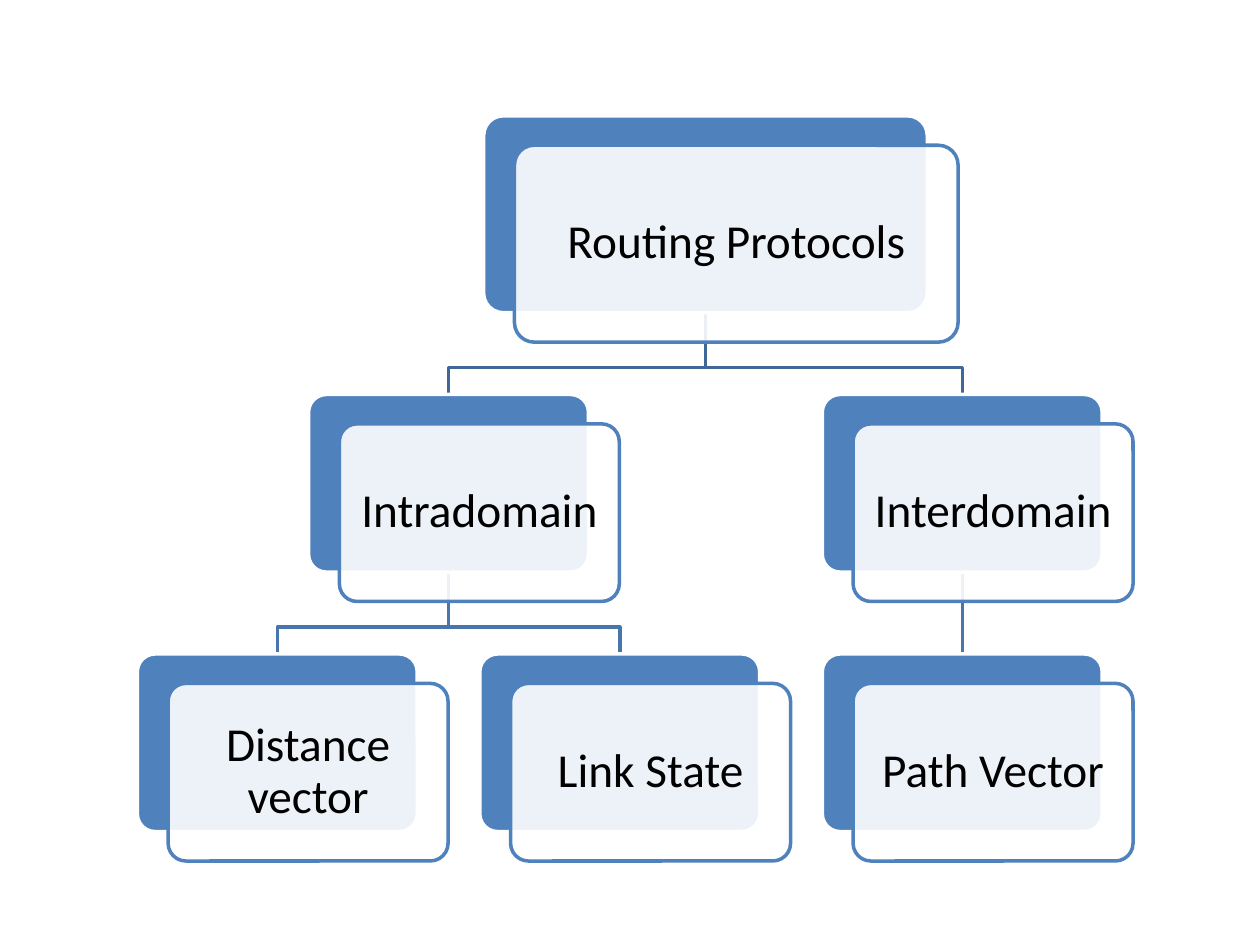
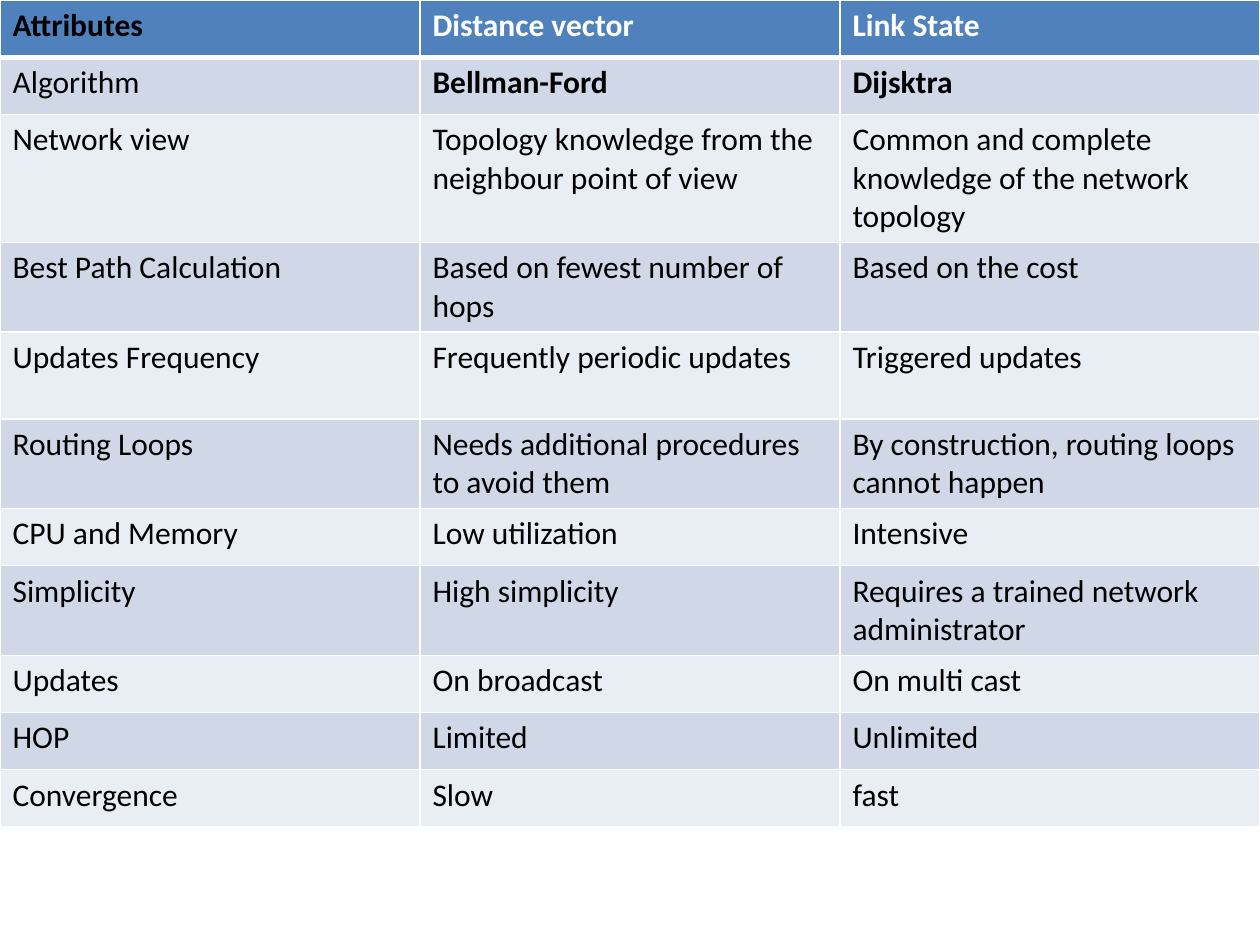
from lxml.etree import SubElement
from pptx import Presentation
from pptx.dml.color import RGBColor
from pptx.enum.shapes import MSO_CONNECTOR, MSO_SHAPE
from pptx.enum.text import MSO_ANCHOR, PP_ALIGN
from pptx.oxml.ns import qn
from pptx.util import Pt

FONT = "Calibri"
COLORS = {
    "blue": "4F81BD", "white": "FFFFFF", "black": "000000",
    "upper": "3F6797", "lower": "4875AC",
    "dark": "D0D8E8", "light": "E9EDF4",
}

# name: (text, column, level, parent)
NODES = {
    "root": ("Routing Protocols", 1.25, 0, None),
    "intra": ("Intradomain", 0.5, 1, "root"),
    "dist": ("Distance vector", 0, 2, "intra"),
    "link": ("Link State", 1, 2, "intra"),
    "inter": ("Interdomain", 2, 1, "root"),
    "vector": ("Path Vector", 2, 2, "inter"),
}
# top within the tree, width, height
LEVELS = [(0, 253.5, 112.5), (159.2, 160, 101.5), (307.5, 160, 101.5)]
PITCH = 195.7
SHIFT = (17.6, 16.8)
DROP = 15.3

# row height, cell texts
ROWS = [
    (32.7, "Attributes", "Distance vector", "Link State"),
    (32.7, "Algorithm", "Bellman-Ford", "Dijsktra"),
    (73, "Network view", "Topology knowledge from the neighbour point of view",
     "Common and complete\nknowledge of the network\ntopology"),
    (51.2, "Best Path Calculation", "Based on fewest number of hops",
     "Based on the cost"),
    (49.7, "Updates Frequency", "Frequently periodic updates",
     "Triggered updates"),
    (51.2, "Routing Loops", "Needs additional procedures to avoid them",
     "By construction, routing loops cannot happen"),
    (32.7, "CPU and Memory", "Low utilization", "Intensive"),
    (51.2, "Simplicity", "High simplicity",
     "Requires a trained network\nadministrator"),
    (32.7, "Updates", "On broadcast", "On multi cast"),
    (32.7, "HOP", "Limited", "Unlimited"),
    (32.7, "Convergence", "Slow", "fast"),
]


def rgb(name):
    return RGBColor.from_string(COLORS[name])


def style_font(para, size, color, bold=False):
    font = para.font
    font.name, font.size, font.bold = FONT, Pt(size), bold
    font.color.rgb = rgb(color)


def add_link(slide, start, end, color):
    """Join two points, bending just above the lower one if they differ in x."""
    (x1, y1), (x2, y2) = start, end
    if x1 == x2:
        link = slide.shapes.add_connector(
            MSO_CONNECTOR.STRAIGHT, Pt(x1), Pt(y1), Pt(x2), Pt(y2))
        SubElement(link._element.spPr, qn("a:effectLst"))
    else:
        bend = y2 - DROP
        path = slide.shapes.build_freeform(Pt(x1), Pt(y1))
        path.add_line_segments(
            [(Pt(x1), Pt(bend)), (Pt(x2), Pt(bend)), (Pt(x2), Pt(y2))],
            close=False)
        link = path.convert_to_shape()
        link.fill.background()
        link.shadow.inherit = False
    link.line.color.rgb = rgb(color)
    link.line.width = Pt(2)


def add_card(slide, box, fill, line):
    card = slide.shapes.add_shape(
        MSO_SHAPE.ROUNDED_RECTANGLE, *(Pt(v) for v in box))
    card.adjustments[0] = 0.1
    card.shadow.inherit = False
    card.fill.solid()
    card.fill.fore_color.rgb = rgb(fill)
    card.line.color.rgb = rgb(line)
    card.line.width = Pt(2)
    return card


def add_node(slide, box, text):
    """Draw a blue card with a translucent white one, shifted, in front."""
    left, top, width, height = box
    add_card(slide, box, "blue", "white")
    front = add_card(slide, (left + SHIFT[0], top + SHIFT[1], width, height),
                     "white", "blue")
    tint = front._element.spPr.find(qn("a:solidFill"))[0]
    SubElement(tint, qn("a:alpha"), val="90000")
    frame = front.text_frame
    frame.word_wrap = True
    frame.vertical_anchor = MSO_ANCHOR.MIDDLE
    frame.margin_left = frame.margin_right = Pt(5)
    para = frame.paragraphs[0]
    para.text = text
    para.alignment = PP_ALIGN.CENTER
    para.line_spacing = 0.9
    style_font(para, 27, "black")


def draw_tree(slide, left, top):
    boxes = {}
    for name, (_, col, level, _) in NODES.items():
        drop, width, height = LEVELS[level]
        mid = left + LEVELS[-1][1] / 2 + col * PITCH
        boxes[name] = (mid - width / 2, top + drop, width, height)
    for name, (_, _, level, parent) in NODES.items():
        if parent:
            x1, y1, w1, h1 = boxes[parent]
            x2, y2, w2, _ = boxes[name]
            add_link(slide, (x1 + w1 / 2, y1 + h1), (x2 + w2 / 2, y2),
                     "upper" if level == 1 else "lower")
    for name, node in NODES.items():
        add_node(slide, boxes[name], node[0])


def set_edges(cell, row):
    """Give the cell white borders, thick below the header row."""
    props = cell._tc.get_or_add_tcPr()
    thick = {("lnB", 0), ("lnT", 1)}
    for side in ("lnL", "lnR", "lnT", "lnB"):
        width = Pt(3 if (side, row) in thick else 1)
        edge = SubElement(props, qn("a:" + side), w=str(width))
        fill = SubElement(edge, qn("a:solidFill"))
        SubElement(fill, qn("a:srgbClr"), val=COLORS["white"])


def draw_table(slide, left, top, width):
    height = sum(row[0] for row in ROWS)
    table = slide.shapes.add_table(
        len(ROWS), 3, Pt(left), Pt(top), Pt(width), Pt(height)).table
    for r, (high, *texts) in enumerate(ROWS):
        table.rows[r].height = Pt(high)
        band = "blue" if r == 0 else "dark" if r % 2 else "light"
        for c, text in enumerate(texts):
            cell = table.cell(r, c)
            set_edges(cell, r)
            cell.fill.solid()
            cell.fill.fore_color.rgb = rgb(band)
            cell.text = text
            color = "white" if r == 0 and c else "black"
            bold = r == 0 or (r == 1 and c > 0)
            for para in cell.text_frame.paragraphs:
                style_font(para, 18, color, bold)


def main():
    deck = Presentation()
    deck.slide_width, deck.slide_height = Pt(720), Pt(540)
    blank = deck.slide_layouts[6]
    draw_tree(deck.slides.add_slide(blank), 78.5, 66.2)
    draw_table(deck.slides.add_slide(blank), 0, 0, 720)
    deck.save("out.pptx")


if __name__ == "__main__":
    main()
